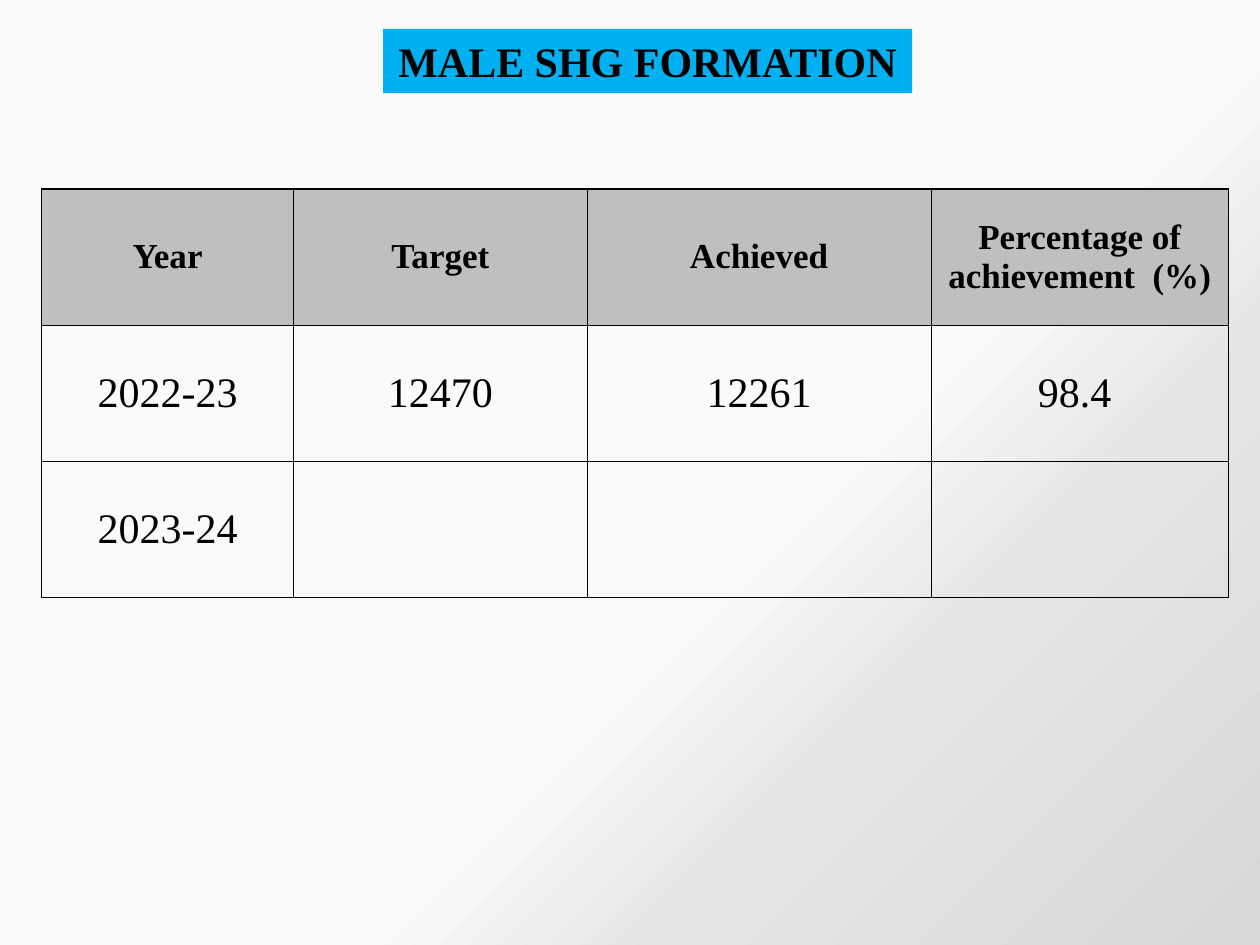
from lxml import etree
from pptx import Presentation
from pptx.dml.color import RGBColor
from pptx.enum.shapes import MSO_SHAPE
from pptx.enum.text import MSO_ANCHOR, PP_ALIGN
from pptx.oxml.ns import qn
from pptx.util import Inches, Pt

RECT = MSO_SHAPE.RECTANGLE
MIDDLE = MSO_ANCHOR.MIDDLE
CENTER = PP_ALIGN.CENTER


def paint(color, value):
    color.rgb = RGBColor.from_string(value)


def write(frame, text, size, bold):
    frame.text = text
    para = frame.paragraphs[0]
    para.alignment = CENTER
    para.font.name = "Times New Roman"
    para.font.size = Pt(size)
    para.font.bold = bold
    paint(para.font.color, "000000")


deck = Presentation()
deck.slide_width, deck.slide_height = Inches(10), Inches(7.5)
slide = deck.slides.add_slide(deck.slide_layouts[6])

# Background gradient, running to the lower right
fill = slide.background.fill
fill.gradient()
fill.gradient_angle = 315
stops = slide.element.find(".//" + qn("a:gsLst"))
stops.clear()
for pos, color in [(59, "FAFAFA"), (73, "E4E4E4"), (100, "D7D7D7")]:
    stop = etree.SubElement(stops, qn("a:gs"), pos=str(pos * 1000))
    etree.SubElement(stop, qn("a:srgbClr"), val=color)

# Title band
title = slide.shapes.add_shape(
    RECT, Inches(3.04), Inches(0.23), Inches(4.2), Inches(0.51))
title.shadow.inherit = False
title.fill.solid()
paint(title.fill.fore_color, "00B0F0")
title.line.fill.background()
title.text_frame.word_wrap = False
write(title.text_frame, "MALE SHG FORMATION", 24, True)

# Table of yearly results
rows = [
    ["Year", "Target", "Achieved", "Percentage of achievement  (%)"],
    ["2022-23", "12470", "12261", "98.4 "],
    ["2023-24", "", "", ""],
]
widths = [2, 2.33, 2.73, 2.36]
table = slide.shapes.add_table(
    len(rows), len(widths), Inches(0.33), Inches(1.5),
    Inches(sum(widths)), Inches(3.24)).table
for col, width in zip(table.columns, widths):
    col.width = Inches(width)

for r, row in enumerate(rows):
    head = r == 0
    for c, text in enumerate(row):
        cell = table.cell(r, c)
        cell.vertical_anchor = MIDDLE
        cell.margin_left = cell.margin_right = Inches(0.09 if head else 0.1)
        write(cell.text_frame, text, 20 if head else 24, head)

        # Borders go before the fill in the cell properties
        props = cell._tc.get_or_add_tcPr()
        for side in ("lnL", "lnR", "lnT", "lnB"):
            line = etree.SubElement(props, qn("a:" + side), w=str(Pt(0.75)))
            solid = etree.SubElement(line, qn("a:solidFill"))
            etree.SubElement(solid, qn("a:srgbClr"), val="000000")
        if head:
            cell.fill.solid()
            paint(cell.fill.fore_color, "BFBFBF")
        else:
            cell.fill.background()

deck.save("out.pptx")
